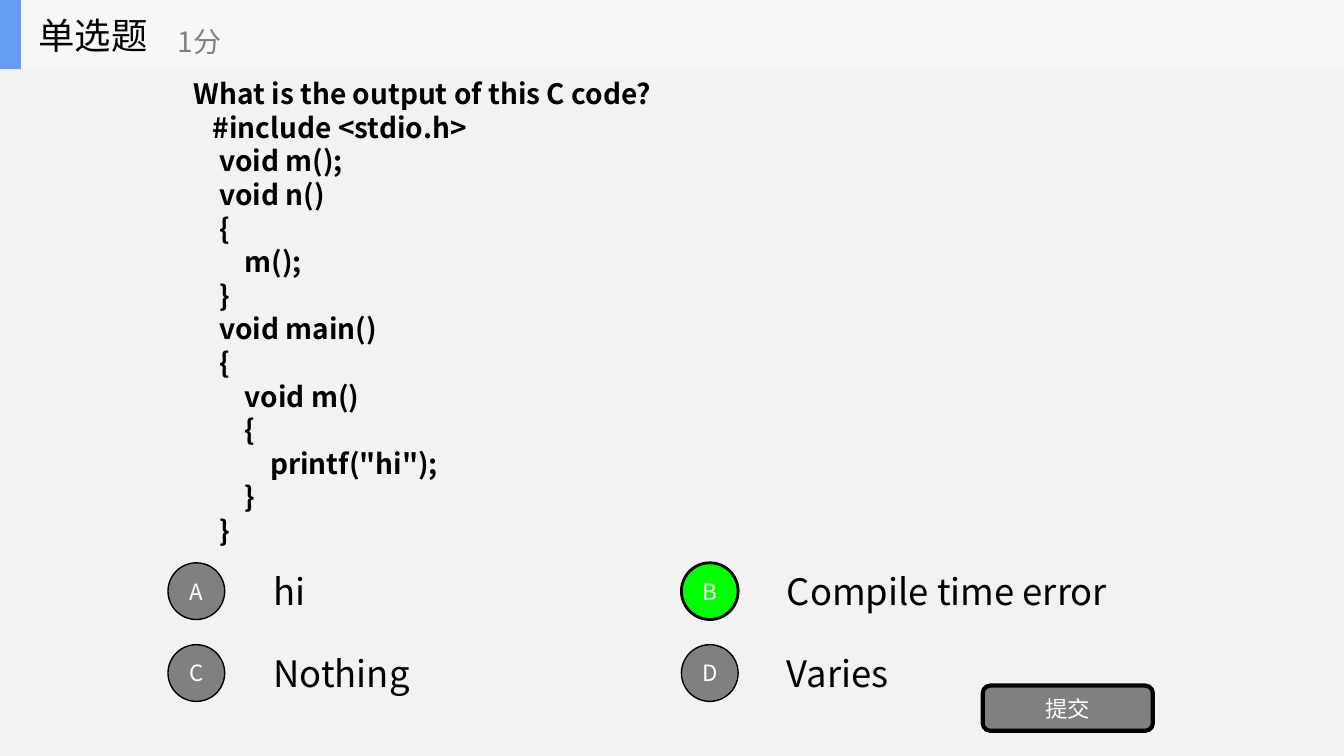
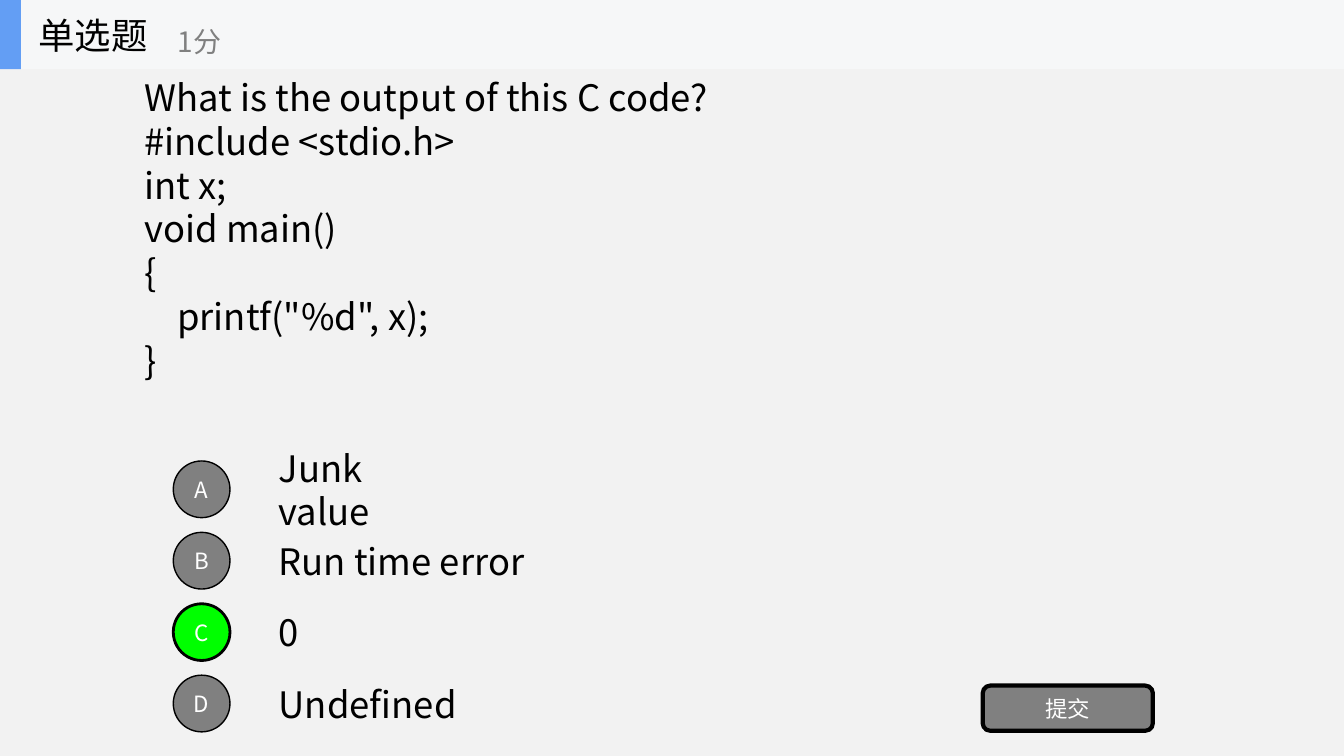
from dataclasses import dataclass

from lxml import etree
from pptx import Presentation
from pptx.dml.color import RGBColor
from pptx.enum.shapes import MSO_SHAPE
from pptx.enum.text import MSO_ANCHOR, MSO_AUTO_SIZE, PP_ALIGN
from pptx.oxml.ns import qn
from pptx.presentation import Presentation as Deck
from pptx.shapes.autoshape import Shape
from pptx.slide import Slide
from pptx.util import Emu, Pt

RECTANGLE = MSO_SHAPE.RECTANGLE
ELLIPSE = MSO_SHAPE.OVAL
ROUNDED = MSO_SHAPE.ROUNDED_RECTANGLE
MIDDLE = MSO_ANCHOR.MIDDLE
NO_AUTOFIT = MSO_AUTO_SIZE.NONE
LEFT, CENTER = PP_ALIGN.LEFT, PP_ALIGN.CENTER

BACKGROUND = RGBColor(0xF2, 0xF2, 0xF2)
BAND = RGBColor(0xF6, 0xF7, 0xF8)
ACCENT = RGBColor(0x63, 0x9E, 0xF4)
GRAY = RGBColor(0x80, 0x80, 0x80)
GREEN = RGBColor(0x00, 0xFF, 0x00)
BLACK = RGBColor(0x00, 0x00, 0x00)
WHITE = RGBColor(0xFF, 0xFF, 0xFF)

FONT = "Noto Sans CJK SC"
EMU_PER_PX = 9525
SLIDE_WIDTH, SLIDE_HEIGHT = 1280, 720
BAND_HEIGHT = 66
TITLE_SIZE, POINTS_SIZE, OPTION_SIZE, BUTTON_SIZE = 26, 20, 26, 16
LINE_RATIO = 1.2
CIRCLE = 54
LABEL_OFFSET, LABEL_HEIGHT = 91, 52


@dataclass(frozen=True)
class Box:
    left: int
    top: int
    width: int
    height: int

    def emu(self) -> tuple[Emu, Emu, Emu, Emu]:
        lengths = (self.left, self.top, self.width, self.height)
        return tuple(Emu(length * EMU_PER_PX) for length in lengths)


@dataclass(frozen=True)
class TextStyle:
    size: int
    color: RGBColor = BLACK
    bold: bool = False
    align: PP_ALIGN = LEFT
    fixed_lines: bool = False
    wrap: bool = True


@dataclass(frozen=True)
class Option:
    text: str
    width: int
    correct: bool = False


@dataclass(frozen=True)
class Question:
    text: str
    box: Box
    style: TextStyle
    options: tuple[Option, ...]
    column_lefts: tuple[int, ...]
    first_row: int
    row_pitch: int


TITLE_STYLE = TextStyle(TITLE_SIZE, wrap=False)
POINTS_STYLE = TextStyle(POINTS_SIZE, GRAY, wrap=False)
OPTION_STYLE = TextStyle(OPTION_SIZE, fixed_lines=True)
BUTTON_STYLE = TextStyle(BUTTON_SIZE, WHITE, align=CENTER)

HEADER_BANDS = (
    (Box(0, 0, SLIDE_WIDTH, BAND_HEIGHT), BAND),
    (Box(0, 0, 20, BAND_HEIGHT), ACCENT),
)
TITLE_BOX = Box(27, 0, 200, BAND_HEIGHT)
POINTS_BOX = Box(160, 12, 240, 54)
SUBMIT_BOX = Box(936, 653, 162, 43)

NESTED_FUNCTION_CODE = """What is the output of this C code?
   #include <stdio.h>
    void m();
    void n()
    {
        m();
    }
    void main()
    {
        void m()
        {
            printf("hi");
        }
    }"""

GLOBAL_VARIABLE_CODE = """What is the output of this C code?
#include <stdio.h>
int x;
void main()
{
    printf("%d", x);
}"""

QUESTIONS = (
    Question(
        NESTED_FUNCTION_CODE,
        Box(175, 66, 585, 462),
        TextStyle(20, bold=True, fixed_lines=True),
        (
            Option("hi", 60),
            Option("Compile time error", 345, correct=True),
            Option("Nothing", 165),
            Option("Varies", 125),
        ),
        column_lefts=(160, 649),
        first_row=536,
        row_pitch=78,
    ),
    Question(
        GLOBAL_VARIABLE_CODE,
        Box(128, 66, 901, 303),
        TextStyle(26, fixed_lines=True),
        (
            Option("Junk value", 182),
            Option("Run time error", 270),
            Option("0", 45, correct=True),
            Option("Undefined", 200),
        ),
        column_lefts=(165,),
        first_row=439,
        row_pitch=68,
    ),
)


def place(shape: Shape, box: Box) -> None:
    shape.left, shape.top, shape.width, shape.height = box.emu()


def write(shape: Shape, text: str, style: TextStyle) -> None:
    """Fill a shape with vertically centred, unbulleted text."""
    frame = shape.text_frame
    frame.text = text
    frame.auto_size = NO_AUTOFIT
    frame.word_wrap = style.wrap
    frame.vertical_anchor = MIDDLE
    for paragraph in frame.paragraphs:
        properties = paragraph._p.get_or_add_pPr()
        properties.set("marL", "0")
        properties.set("indent", "0")
        etree.SubElement(properties, qn("a:buNone"))
        paragraph.alignment = style.align
        paragraph.space_before = Pt(0)
        if style.fixed_lines:
            paragraph.line_spacing = Pt(style.size * LINE_RATIO)
        for run in paragraph.runs:
            run.font.size = Pt(style.size)
            run.font.bold = style.bold
            run.font.color.rgb = style.color
            run.font.name = FONT
            east_asian = etree.SubElement(run.font._element, qn("a:ea"))
            east_asian.set("typeface", FONT)


def add_text(slide: Slide, box: Box, text: str, style: TextStyle) -> None:
    write(slide.shapes.add_textbox(*box.emu()), text, style)


def add_filled_shape(slide: Slide, kind: MSO_SHAPE, box: Box, fill: RGBColor) -> Shape:
    shape = slide.shapes.add_shape(kind, *box.emu())
    shape.shadow.inherit = False
    shape.fill.solid()
    shape.fill.fore_color.rgb = fill
    shape.line.fill.background()
    return shape


def add_button(
    slide: Slide, kind: MSO_SHAPE, box: Box, fill: RGBColor, line_width: int, text: str
) -> None:
    button = add_filled_shape(slide, kind, box, fill)
    button.line.color.rgb = BLACK
    button.line.width = Pt(line_width)
    frame = button.text_frame
    frame.margin_left = frame.margin_right = frame.margin_top = frame.margin_bottom = 0
    write(button, text, BUTTON_STYLE)


def add_header(slide: Slide) -> None:
    """Draw the bands behind the placeholders, then the title and points."""
    tree = slide.shapes._spTree
    for position, (box, color) in enumerate(HEADER_BANDS, start=2):
        band = add_filled_shape(slide, RECTANGLE, box, color)
        tree.insert(position, band._element)
    place(slide.shapes.title, TITLE_BOX)
    write(slide.shapes.title, "单选题", TITLE_STYLE)
    add_text(slide, POINTS_BOX, "1分", POINTS_STYLE)


def add_options(slide: Slide, question: Question) -> None:
    columns = len(question.column_lefts)
    for index, (letter, option) in enumerate(zip("ABCD", question.options)):
        row, column = divmod(index, columns)
        left = question.column_lefts[column]
        top = question.first_row + row * question.row_pitch
        label_box = Box(left + LABEL_OFFSET, top + 1, option.width, LABEL_HEIGHT)
        add_text(slide, label_box, option.text, OPTION_STYLE)
        fill, line_width = (GREEN, 2) if option.correct else (GRAY, 1)
        circle_box = Box(left, top, CIRCLE, CIRCLE)
        add_button(slide, ELLIPSE, circle_box, fill, line_width, letter)


def add_question_slide(presentation: Deck, question: Question) -> None:
    slide = presentation.slides.add_slide(presentation.slide_layouts[1])
    add_header(slide)
    body = slide.placeholders[1]
    place(body, question.box)
    write(body, question.text, question.style)
    add_options(slide, question)
    add_button(slide, ROUNDED, SUBMIT_BOX, GRAY, 3, "提交")


def main() -> None:
    presentation = Presentation()
    presentation.slide_width = Emu(SLIDE_WIDTH * EMU_PER_PX)
    presentation.slide_height = Emu(SLIDE_HEIGHT * EMU_PER_PX)
    background = presentation.slide_master.background.fill
    background.solid()
    background.fore_color.rgb = BACKGROUND
    for question in QUESTIONS:
        add_question_slide(presentation, question)
    presentation.save("out.pptx")


if __name__ == "__main__":
    main()
